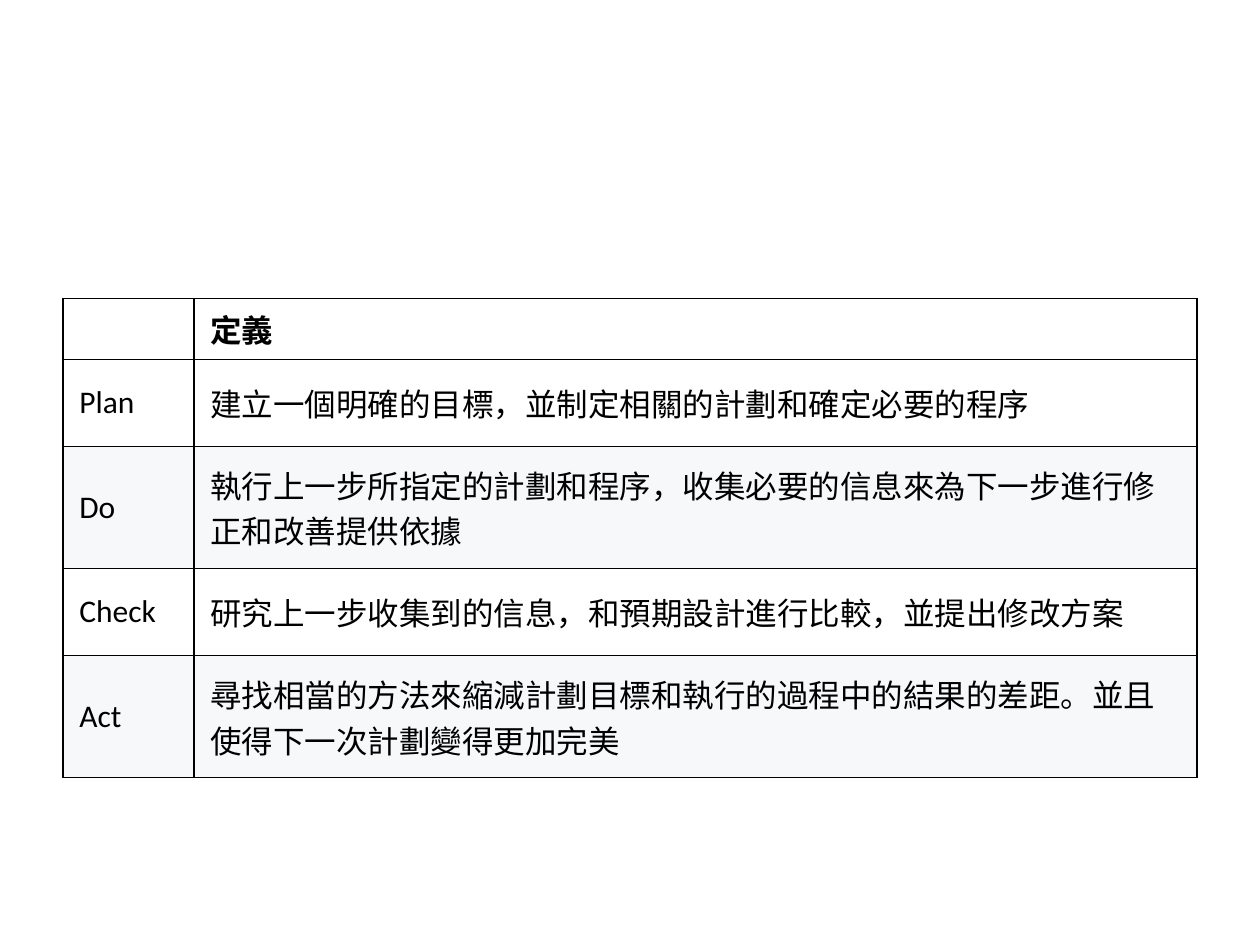
"""Build a slide with a table defining the four PDCA steps."""
from dataclasses import dataclass
from lxml.etree import SubElement
from pptx import Presentation
from pptx.dml.color import RGBColor as RGB
from pptx.enum.text import MSO_ANCHOR as Anchor
from pptx.oxml.ns import qn
from pptx.util import Inches, Pt


@dataclass
class Theme:
    font: str = "Calibri"
    size: int = 18
    ink: str = "000000"
    plain: str = "FFFFFF"
    band: str = "F6F8FA"
    border: int = 1


theme = Theme()


def add_borders(cell):
    tc_pr = cell._tc.get_or_add_tcPr()
    for side in ("lnL", "lnR", "lnT", "lnB"):
        ln = SubElement(tc_pr, qn(f"a:{side}"), w=str(Pt(theme.border)))
        fill = SubElement(ln, qn("a:solidFill"))
        SubElement(fill, qn("a:srgbClr"), val=theme.ink)


def write_cell(cell, text, fill=theme.plain, bold=False):
    add_borders(cell)
    cell.fill.solid()
    cell.fill.fore_color.rgb = RGB.from_string(fill)
    cell.vertical_anchor = Anchor.MIDDLE
    cell.margin_left = cell.margin_right = Inches(0.13)
    cell.margin_top = cell.margin_bottom = Inches(0.06)
    p = cell.text_frame.paragraphs[0]
    p.font.size = Pt(theme.size)
    if text:
        r = p.add_run()
        r.text = text
        r.font.name = theme.font
        r.font.size = Pt(theme.size)
        r.font.bold = bold
        r.font.color.rgb = RGB.from_string(theme.ink)


rows = [
    ("", "定義"),
    ("Plan", "建立一個明確的目標，並制定相關的計劃和確定必要的程序"),
    ("Do", "執行上一步所指定的計劃和程序，收集必要的信息來為下一步進行修正和改善提供依據"),
    ("Check", "研究上一步收集到的信息，和預期設計進行比較，並提出修改方案"),
    ("Act", "尋找相當的方法來縮減計劃目標和執行的過程中的結果的差距。並且使得下一次計劃變得更加完美"),
]
widths = [1.04, 7.96]
heights = [0.4, 0.69, 0.97, 0.69, 0.97]

prs = Presentation()
prs.slide_width, prs.slide_height = Inches(10), Inches(7.5)
s = prs.slides.add_slide(prs.slide_layouts[6])

table = s.shapes.add_table(
    len(rows), len(widths), Inches(0.5), Inches(2.37),
    Inches(sum(widths)), Inches(sum(heights)),
).table
table.horz_banding = False
for column, width in zip(table.columns, widths):
    column.width = Inches(width)

for i, (texts, height) in enumerate(zip(rows, heights)):
    table.rows[i].height = Inches(height)
    fill = theme.band if i and i % 2 == 0 else theme.plain
    for j, text in enumerate(texts):
        write_cell(table.cell(i, j), text, fill=fill, bold=i == 0)

prs.save("out.pptx")
